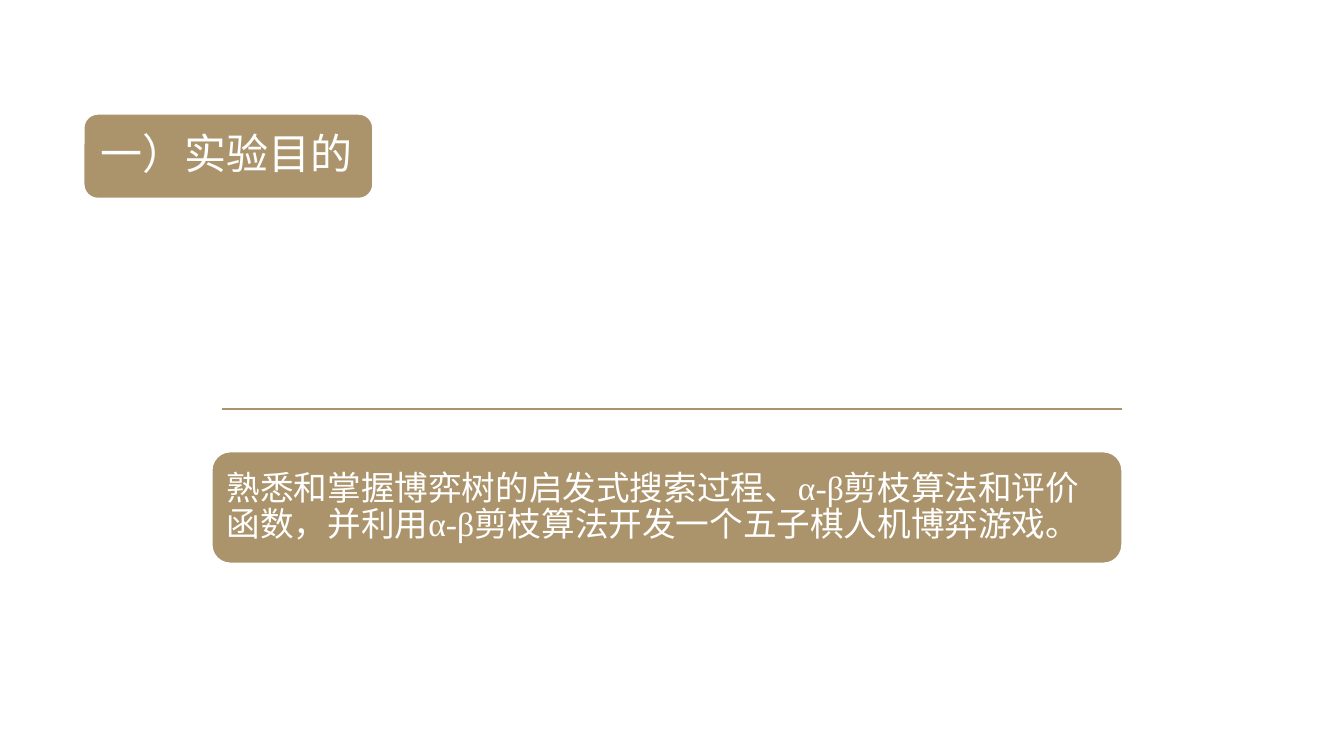
from lxml.etree import SubElement
from pptx import Presentation
from pptx.dml.color import RGBColor
from pptx.enum.shapes import MSO_CONNECTOR, MSO_SHAPE
from pptx.enum.text import MSO_ANCHOR, MSO_AUTO_SIZE, PP_ALIGN
from pptx.oxml.ns import qn
from pptx.util import Inches, Pt

GOLD = RGBColor(0xAB, 0x94, 0x6B)
WHITE = RGBColor(0xFF, 0xFF, 0xFF)
FONT = "Times New Roman"
TITLE_BOX = (0.83, 1.13, 2.87, 0.84)
GOAL_BOX = (2.1, 4.48, 9.03, 1.11)
RULE_LEFT, RULE_RIGHT, RULE_TOP = 2.2, 11.13, 4.06
CORNER_INSET = 0.05


def add_panel(page, box):
    panel = page.shapes.add_shape(MSO_SHAPE.ROUNDED_RECTANGLE, *map(Inches, box))
    panel.shadow.inherit = False
    panel.fill.solid()
    panel.fill.fore_color.rgb = GOLD
    panel.line.color.rgb = WHITE
    panel.line.width = Pt(1.25)


def write_text(shape, text, size, inset):
    frame = shape.text_frame
    frame.word_wrap = True
    frame.auto_size = MSO_AUTO_SIZE.NONE
    frame.vertical_anchor = MSO_ANCHOR.MIDDLE
    frame.margin_left = frame.margin_right = Inches(inset)
    frame.margin_top = frame.margin_bottom = Inches(inset)
    frame.text = text
    para = frame.paragraphs[0]
    para.alignment = PP_ALIGN.LEFT
    para.line_spacing = 0.9
    para.font.name = FONT
    para.font.size = Pt(size)
    para.font.color.rgb = WHITE


def inner_box(box):
    left, top, width, height = box
    return [
        Inches(length)
        for length in (
            left + CORNER_INSET,
            top + CORNER_INSET,
            width - 2 * CORNER_INSET,
            height - 2 * CORNER_INSET,
        )
    ]


def add_title(page, box, text):
    add_panel(page, box)
    title = page.shapes.title
    title.left, title.top, title.width, title.height = inner_box(box)
    write_text(title, text, 30, 0.12)
    title.element.getparent().append(title.element)


def add_goal(page, box, text):
    add_panel(page, box)
    goal = page.shapes.add_textbox(*inner_box(box))
    write_text(goal, text, 24, 0.1)


def add_rule(page):
    rule = page.shapes.add_connector(
        MSO_CONNECTOR.STRAIGHT,
        Inches(RULE_LEFT), Inches(RULE_TOP), Inches(RULE_RIGHT), Inches(RULE_TOP),
    )
    rule.line.color.rgb = GOLD
    rule.line.width = Pt(1.25)
    SubElement(rule.element.spPr, qn("a:effectLst"))


def main():
    deck = Presentation()
    deck.slide_width, deck.slide_height = Inches(13.33), Inches(7.5)
    page = deck.slides.add_slide(deck.slide_layouts.get_by_name("Title Only"))
    add_rule(page)
    add_title(page, TITLE_BOX, "一）实验目的")
    add_goal(
        page,
        GOAL_BOX,
        "熟悉和掌握博弈树的启发式搜索过程、α-β剪枝算法和评价函数，"
        "并利用α-β剪枝算法开发一个五子棋人机博弈游戏。",
    )
    deck.save("out.pptx")


if __name__ == "__main__":
    main()
